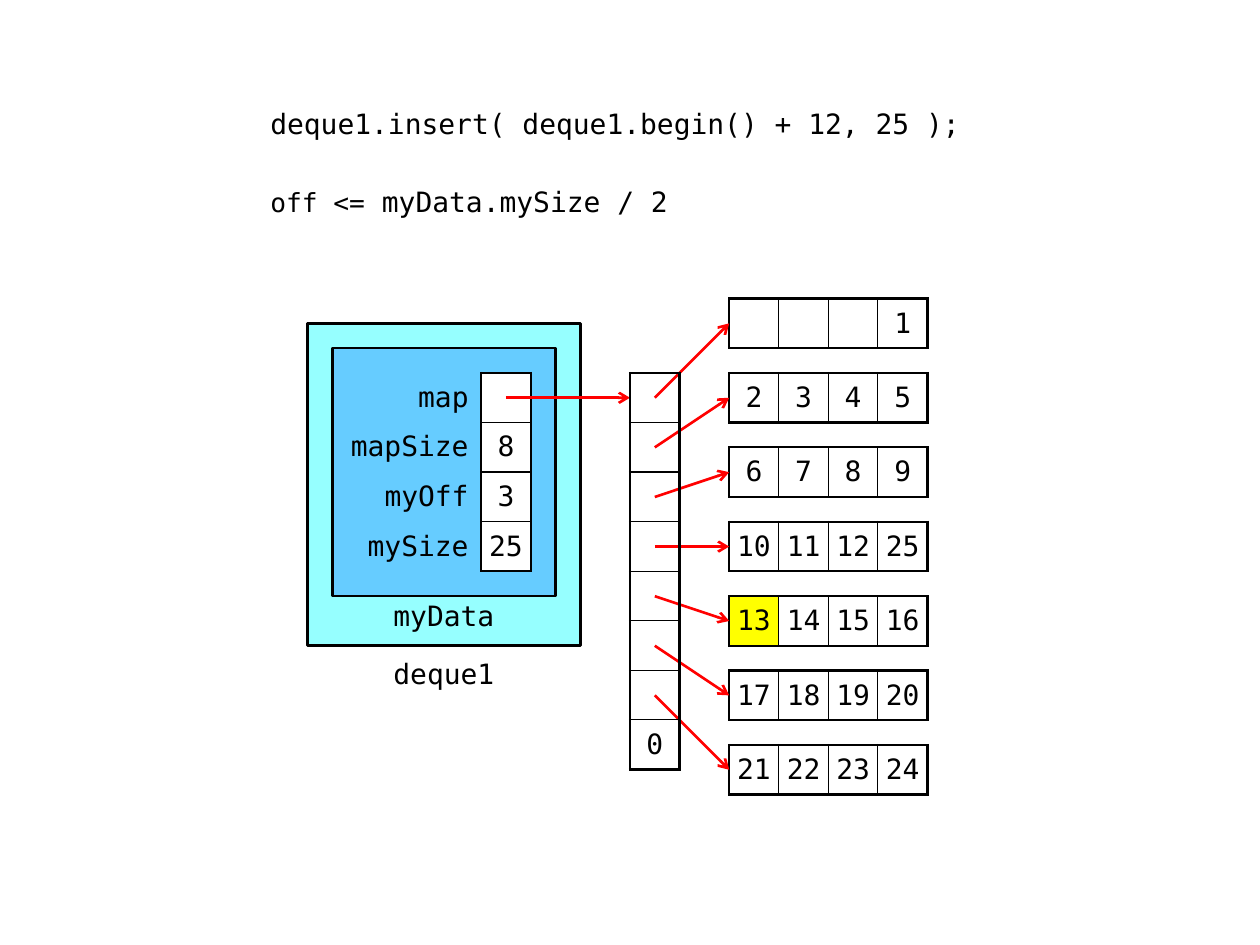
from dataclasses import dataclass

import pptx
import pptx.dml.color
import pptx.enum.shapes
import pptx.enum.text
import pptx.oxml.ns
import pptx.util
from lxml import etree

FONT = "DejaVu Sans Mono"
BLACK, WHITE, RED, YELLOW = "000000", "FFFFFF", "FF0000", "FFFF00"
THICK, THIN = 1.5, 0.75
ALIGN = pptx.enum.text.PP_ALIGN
ANCHOR = pptx.enum.text.MSO_ANCHOR

# Grid of 1 cm cells; its origin is the top left corner of the map column
CELL = 1 / 2.54
LEFT, TOP = 5.0, 2.96


@dataclass
class Box:
    x: float
    y: float
    w: float
    h: float

    def place(self) -> tuple:
        return (at_x(self.x), at_y(self.y), span(self.w), span(self.h))


@dataclass
class Label:
    text: str
    box: Box
    anchor: ANCHOR
    inset: float


def at_x(column: float) -> pptx.util.Length:
    return pptx.util.Inches(LEFT + column * CELL)


def at_y(row: float) -> pptx.util.Length:
    return pptx.util.Inches(TOP + row * CELL)


def span(cells: float) -> pptx.util.Length:
    return pptx.util.Inches(cells * CELL)


def rgb(color: str) -> pptx.dml.color.RGBColor:
    return pptx.dml.color.RGBColor.from_string(color)


def sub(parent, tag: str, **attrs: str):
    return etree.SubElement(parent, pptx.oxml.ns.qn(tag), **attrs)


def add_run(p, text: str, size: float = 16) -> None:
    r = p.add_run()
    r.text = text
    r.font.name, r.font.size = FONT, pptx.util.Pt(size)
    r.font.color.rgb = rgb(BLACK)


def add_code(s, box: Box) -> None:
    tf = s.shapes.add_textbox(*box.place()).text_frame
    tf.word_wrap = True
    add_run(tf.paragraphs[0], "deque1.insert( deque1.begin() + 12, 25 );")
    p = tf.add_paragraph()
    p.space_before = pptx.util.Pt(25.5)
    add_run(p, "off <=", 15)
    add_run(p, " myData.mySize / 2")


def add_panel(s, box: Box, color: str) -> None:
    sp = s.shapes.add_shape(
        pptx.enum.shapes.MSO_SHAPE.FLOWCHART_PROCESS, *box.place())
    sp.shadow.inherit = False
    sp.fill.solid()
    sp.fill.fore_color.rgb = rgb(color)
    sp.line.color.rgb = rgb(BLACK)
    sp.line.width = pptx.util.Pt(THICK)


def add_label(s, label: Label) -> None:
    tf = s.shapes.add_textbox(*label.box.place()).text_frame
    tf.word_wrap = True
    tf.vertical_anchor = label.anchor
    tf.margin_left = tf.margin_right = pptx.util.Inches(0.08)
    tf.margin_top, tf.margin_bottom = pptx.util.Inches(label.inset), 0
    tf.paragraphs[0].alignment = ALIGN.CENTER
    add_run(tf.paragraphs[0], label.text)


def add_arrow(s, x1: float, y1: float, x2: float, y2: float) -> None:
    line = s.shapes.add_connector(
        pptx.enum.shapes.MSO_CONNECTOR.STRAIGHT,
        at_x(x1), at_y(y1), at_x(x2), at_y(y2))
    line.line.color.rgb = rgb(RED)
    line.line.width = pptx.util.Pt(THICK)
    sub(line.line._get_or_add_ln(), "a:tailEnd", type="arrow")
    sub(line._element.spPr, "a:effectLst")


def set_borders(cell, widths: dict[str, float]) -> None:
    tc_pr = cell._tc.get_or_add_tcPr()
    for side in "LRTB":
        width = widths.get(side, 0)
        ln = sub(tc_pr, f"a:ln{side}", w=str(int(pptx.util.Pt(width))))
        if width:
            sub(sub(ln, "a:solidFill"), "a:srgbClr", val=BLACK)
        else:
            sub(ln, "a:noFill")


def add_cells(s, x: float, y: float, rows: list[list[str]],
              widths: list[int], fill: str | None = WHITE,
              labelled: bool = False, highlight: str | None = None) -> None:
    """Boxed cells, thick outside and thin inside, maybe with a label column."""
    box = Box(x, y, sum(widths), len(rows))
    table = s.shapes.add_table(len(rows), len(widths), *box.place()).table
    table.first_row = table.horz_banding = False
    for column, width in zip(table.columns, widths):
        column.width = span(width)
    first, last = int(labelled), len(widths) - 1
    for i, row in enumerate(rows):
        table.rows[i].height = span(1)
        for j, text in enumerate(row):
            cell = table.cell(i, j)
            is_label = j < first
            if is_label:
                set_borders(cell, {"R": THICK})
            else:
                set_borders(cell, {
                    "L": THICK if j == first else THIN,
                    "R": THICK if j == last else THIN,
                    "T": THICK if i == 0 else THIN,
                    "B": THICK if i == len(rows) - 1 else THIN})
            color = YELLOW if text and text == highlight else fill
            if is_label or color is None:
                cell.fill.background()
            else:
                cell.fill.solid()
                cell.fill.fore_color.rgb = rgb(color)
            cell.vertical_anchor = ANCHOR.MIDDLE
            cell.margin_top = cell.margin_bottom = pptx.util.Inches(0.04)
            cell.margin_left = cell.margin_right = pptx.util.Inches(
                0.1 if is_label else 0)
            p = cell.text_frame.paragraphs[0]
            p.alignment = ALIGN.RIGHT if is_label else ALIGN.CENTER
            if text:
                add_run(p, text)


def main() -> None:
    prs = pptx.Presentation()
    prs.slide_width, prs.slide_height = pptx.util.Inches(10), pptx.util.Inches(7.5)
    s = prs.slides.add_slide(prs.slide_layouts[6])

    # Statement and condition
    add_code(s, Box(-7.5, -5.5, 15, 2.5))

    # Deque object with its data members
    add_panel(s, Box(-6.5, -1, 5.5, 6.5), "96FFFF")
    add_panel(s, Box(-6, -0.5, 4.5, 5), "66CCFF")
    add_label(s, Label("deque1", Box(-5.5, 5.5, 3.5, 1), ANCHOR.MIDDLE, 0.04))
    add_label(s, Label("myData", Box(-5, 4.5, 2.5, 1), ANCHOR.TOP, 0.02))
    members = [["map", ""], ["mapSize", "8"], ["myOff", "3"], ["mySize", "25"]]
    add_cells(s, -6, 0, members, [3, 1], labelled=True)
    add_arrow(s, -2.5, 0.5, 0, 0.5)

    # Blocks of four elements, each with its pointer from the map
    values = ["", "", "", *map(str, range(1, 13)), "25", *map(str, range(13, 25))]
    blocks = [values[k:k + 4] for k in range(0, len(values), 4)]
    for i, block in enumerate(blocks):
        y = 1.5 * (i - 1)
        add_cells(s, 2, y, [block], [1] * 4, highlight="13")
        add_arrow(s, 0.5, i + 0.5, 2, y + 0.5)

    # Map column, ended by a null pointer
    add_cells(s, 0, 0, [[""]] * len(blocks) + [["0"]], [1], fill=None)

    prs.save("out.pptx")


if __name__ == "__main__":
    main()
